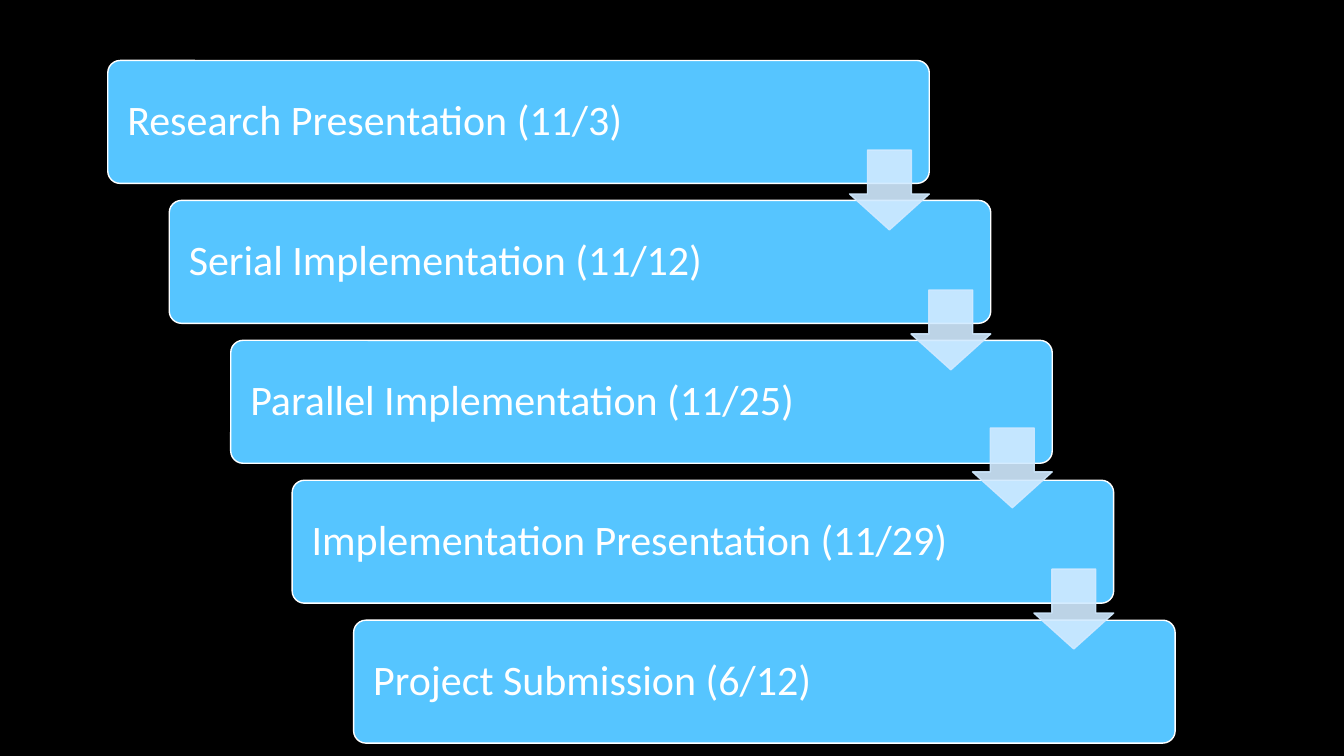
from lxml import etree
from pptx import Presentation
from pptx.dml.color import RGBColor
from pptx.enum.shapes import MSO_SHAPE as SHAPE
from pptx.enum.text import MSO_ANCHOR as ANCHOR, PP_ALIGN as ALIGN
from pptx.oxml.ns import qn
from pptx.util import Pt

MILESTONES = [
    "Research Presentation (11/3)",
    "Serial Implementation (11/12)",
    "Parallel Implementation (11/25)",
    "Implementation Presentation (11/29)",
    "Project Submission (6/12)",
]
# Drop of each arrow below the top of the box it leaves
ARROW_DROPS = [64, 64, 62.6, 63.5]

BLACK, WHITE, BLUE, PALE = "000000", "FFFFFF", "56C5FF", "D1EAFF"
LEFT, TOP = 77, 43.2
STEP_X, STEP_Y = 43.9, 99.95
BOX_W, BOX_H = 586.8, 87.8
ARROW = 57
INSET = 11.4


def paint(fill, color, alpha=None):
    """Make a fill solid; alpha is its opacity in percent."""
    fill.solid()
    fill.fore_color.rgb = RGBColor.from_string(color)
    if alpha is not None:
        tint = fill._xPr.find(qn("a:solidFill"))[0]
        etree.SubElement(tint, qn("a:alpha")).set("val", str(alpha * 1000))


def add_shape(slide, kind, x, y, w, h, adjustments, fill, line, alpha=None):
    sp = slide.shapes.add_shape(kind, Pt(x), Pt(y), Pt(w), Pt(h))
    sp.shadow.inherit = False
    for i, value in enumerate(adjustments):
        sp.adjustments[i] = value
    paint(sp.fill, fill, alpha)
    sp.line.width = Pt(1)
    paint(sp.line.fill, line, alpha)
    return sp


def add_milestone(slide, text, x, y):
    sp = add_shape(slide, SHAPE.ROUNDED_RECTANGLE, x, y, BOX_W, BOX_H,
                   [0.1], BLUE, WHITE)
    tf = sp.text_frame
    tf.word_wrap = True
    tf.vertical_anchor = ANCHOR.MIDDLE
    tf.margin_left = tf.margin_right = Pt(INSET)
    p = tf.paragraphs[0]
    p.alignment = ALIGN.LEFT
    p.line_spacing = 0.9
    r = p.add_run()
    r.text = text
    r.font.name = "Calibri"
    r.font.size = Pt(30)
    r.font.color.rgb = RGBColor.from_string(WHITE)


def main():
    prs = Presentation()
    prs.slide_width, prs.slide_height = Pt(960), Pt(540)
    slide = prs.slides.add_slide(prs.slide_layouts[6])
    paint(slide.background.fill, BLACK)

    corners = [(LEFT + i * STEP_X, TOP + i * STEP_Y)
               for i in range(len(MILESTONES))]
    for text, (x, y) in zip(MILESTONES, corners):
        add_milestone(slide, text, x, y)
    for drop, (x, y) in zip(ARROW_DROPS, corners):
        add_shape(slide, SHAPE.DOWN_ARROW, x + BOX_W - ARROW, y + drop,
                  ARROW, ARROW, [0.55, 0.45], PALE, PALE, alpha=90)

    prs.save("out.pptx")


if __name__ == "__main__":
    main()
